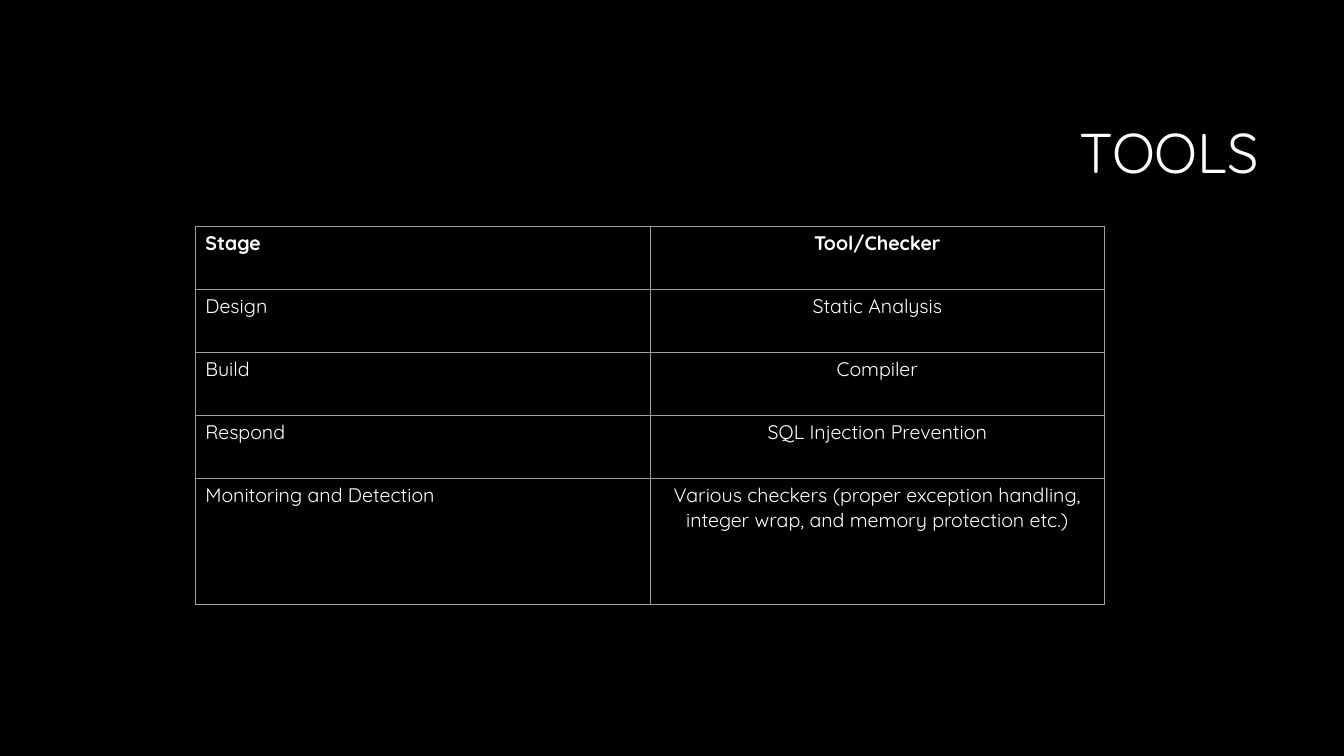
from lxml import etree
from pptx import Presentation
from pptx.dml.color import RGBColor
from pptx.enum.text import MSO_ANCHOR, PP_ALIGN
from pptx.oxml.ns import qn
from pptx.util import Cm, Pt

LEFT, MID, RIGHT = PP_ALIGN.LEFT, PP_ALIGN.CENTER, PP_ALIGN.RIGHT
CENTRE = MSO_ANCHOR.MIDDLE
FONT = "Quicksand"
HUES = {"back": "000000", "text": "FFFFFF", "rule": "9E9E9E"}
ROWS = [
    ("Stage", "Tool/Checker"),
    ("Design", "Static Analysis"),
    ("Build", "Compiler"),
    ("Respond", "SQL Injection Prevention"),
    ("Monitoring and Detection",
     "Various checkers (proper exception handling, "
     "integer wrap, and memory protection etc.)"),
]


def style(para, size, align, bold=False):
    """Set the alignment and font of a paragraph's runs."""
    para.alignment = align
    for run in para.runs:
        font = run.font
        font.name, font.size, font.bold = FONT, Pt(size), bold
        font.color.rgb = RGBColor.from_string(HUES["text"])


def border(cell):
    """Draw a thin rule on all four sides of a cell."""
    props = cell._tc.get_or_add_tcPr()
    for spot, side in enumerate(("lnL", "lnR", "lnT", "lnB")):
        line = etree.Element(qn(f"a:{side}"), w=str(Pt(0.75)))
        fill = etree.SubElement(line, qn("a:solidFill"))
        etree.SubElement(fill, qn("a:srgbClr"), val=HUES["rule"])
        props.insert(spot, line)


def title(slide, text, left, top, width, height):
    """Place the right-aligned title in its box."""
    box = slide.shapes.add_textbox(Cm(left), Cm(top), Cm(width), Cm(height))
    frame = box.text_frame
    frame.word_wrap = True
    frame.vertical_anchor = CENTRE
    frame.text = text
    para = frame.paragraphs[0]
    para.line_spacing = 0.9
    style(para, 40, RIGHT)


def grid(slide, rows, left, top, width, height):
    """Place the table, its last row twice as high as the others."""
    unit = height / (len(rows) + 1)
    table = slide.shapes.add_table(
        len(rows), 2, Cm(left), Cm(top), Cm(width), Cm(height)).table
    table.horz_banding = False
    for col in table.columns:
        col.width = Cm(width / 2)
    for r, texts in enumerate(rows):
        last = r == len(rows) - 1
        table.rows[r].height = Cm(unit * 2 if last else unit)
        for c, text in enumerate(texts):
            cell = table.cell(r, c)
            cell.text = text
            cell.fill.background()
            border(cell)
            style(cell.text_frame.paragraphs[0], 14, MID if c else LEFT, r == 0)


def main():
    """Build and save the slide."""
    deck = Presentation()
    deck.slide_width, deck.slide_height = Cm(33.87), Cm(19.05)
    slide = deck.slides.add_slide(deck.slide_layouts[6])
    fill = slide.background.fill
    fill.solid()
    fill.fore_color.rgb = RGBColor.from_string(HUES["back"])
    title(slide, "TOOLS", 8.05, 2.13, 23.93, 3.58)
    grid(slide, ROWS, 4.92, 5.7, 22.92, 9.53)
    deck.save("out.pptx")


if __name__ == "__main__":
    main()
